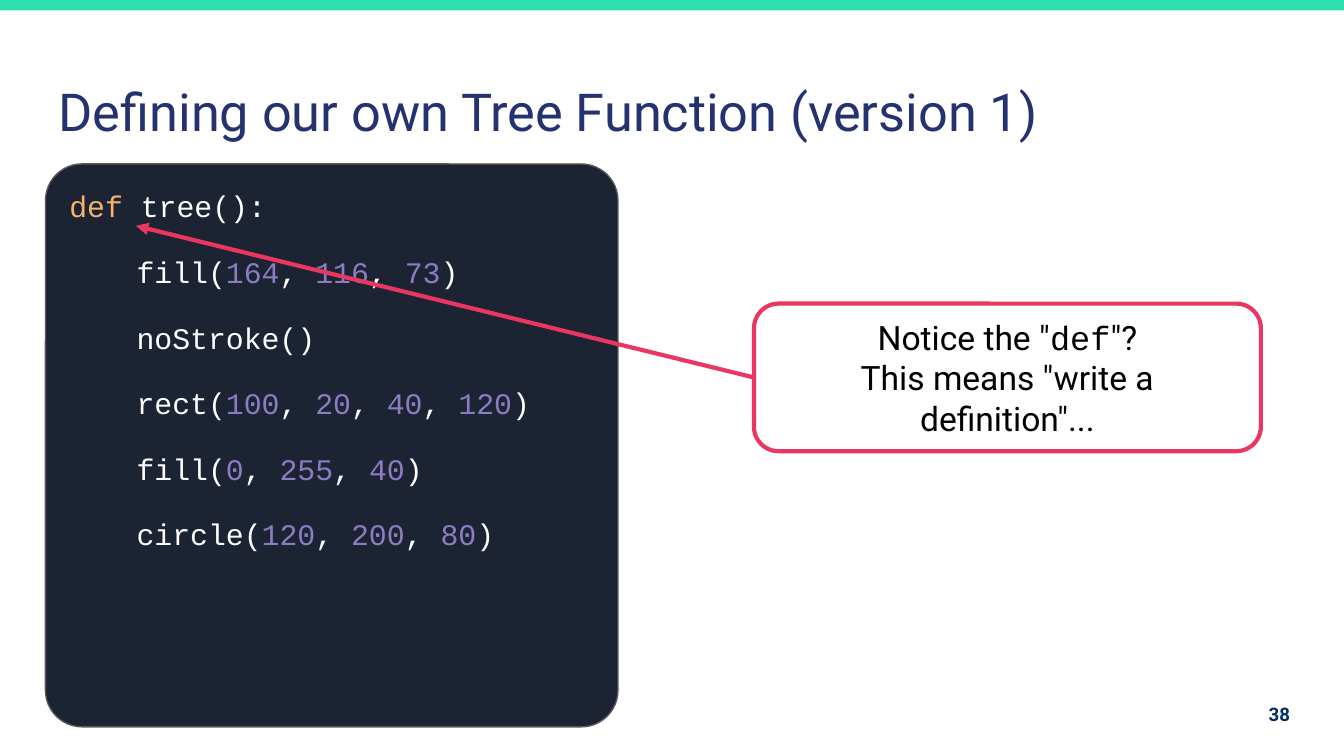
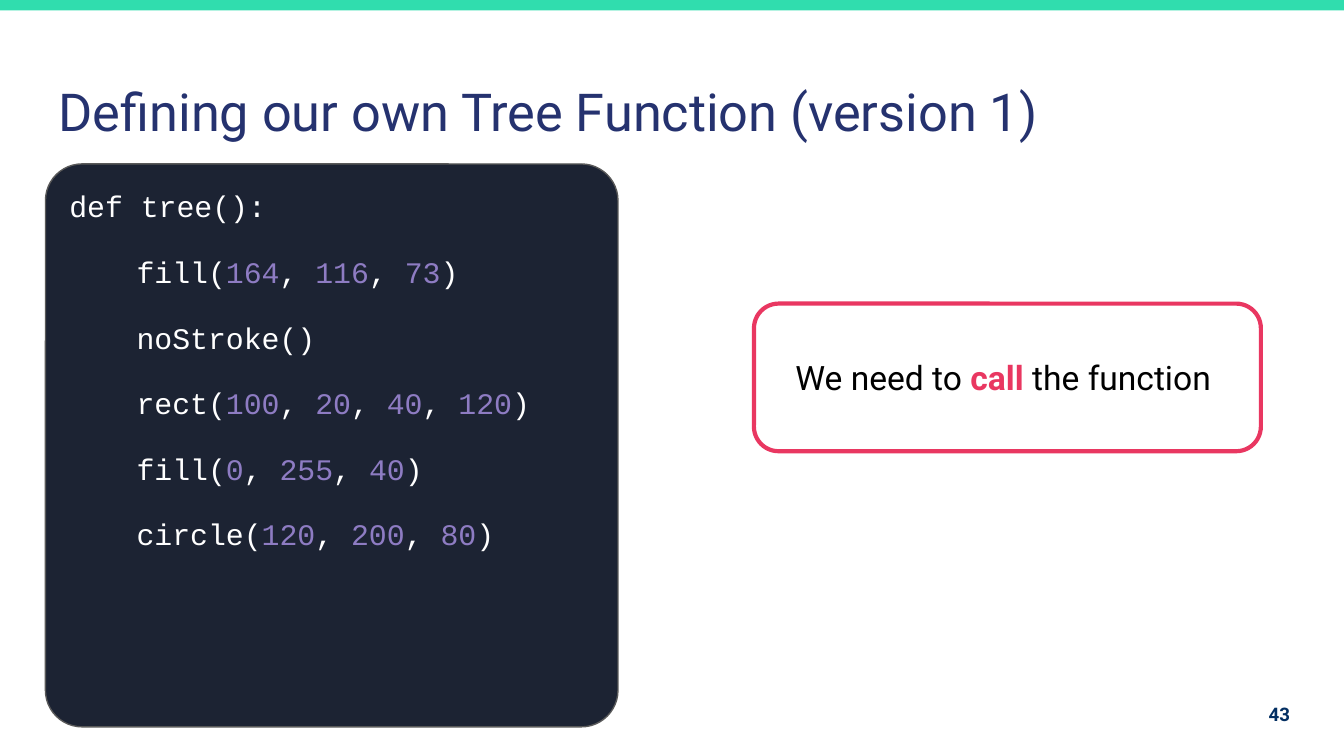
from dataclasses import dataclass
from itertools import groupby
from typing import Optional

from pptx import Presentation
from pptx.dml.color import RGBColor
from pptx.enum.shapes import MSO_CONNECTOR, MSO_SHAPE
from pptx.enum.text import MSO_ANCHOR, MSO_AUTO_SIZE, PP_ALIGN
from pptx.oxml.ns import qn
from pptx.util import Cm, Pt
from lxml.etree import SubElement

# Shared style
MINT, NAVY, BLUE = "30DDAE", "25326F", "032F62"
DARK, GREY, PINK = "1C2333", "595959", "E93761"
WHITE, BLACK = "FFFFFF", "000000"
GOLD, LILAC = "F6B26B", "8E7CC3"
SANS, MONO = "Roboto", "Courier New"
TITLE = "Defining our own Tree Function (version 1)"
BODY = [
    "fill(164, 116, 73)",
    "noStroke()",
    "rect(100, 20, 40, 120)",
    "fill(0, 255, 40)",
    "circle(120, 200, 80)",
]


@dataclass(frozen=True)
class Box:
    left: float
    top: float
    width: float
    height: float

    def cm(self) -> tuple:
        return Cm(self.left), Cm(self.top), Cm(self.width), Cm(self.height)


@dataclass(frozen=True)
class Run:
    text: str
    color: str = BLACK
    font: str = SANS
    size: float = 18
    bold: bool = False


@dataclass(frozen=True)
class Page:
    number: int
    head: list[Run]
    note: list[list[Run]]
    arrow: Optional[tuple[float, float]] = None


BAND = Box(-0.03, 0, 25.45, 0.2)
HEAD = Box(0.86, 1.24, 23.67, 1.6)
CODE = Box(0.86, 3.1, 10.82, 10.64)
NOTE = Box(14.25, 5.74, 9.58, 2.79)
FOOT = Box(23.11, 12.95, 1.52, 1.09)


def code(text: str, color: str = WHITE) -> Run:
    return Run(text, color, MONO, 16)


PAGES = [
    Page(
        38,
        [code("def ", GOLD), code("tree():")],
        [
            [Run('Notice the "'), Run("def", font=MONO), Run('"?')],
            [Run('This means "write a definition"...')],
        ],
        (2.57, 4.27),
    ),
    Page(
        43,
        [code("def tree():")],
        [[Run("We need to "), Run("call", PINK, bold=True), Run(" the function ")]],
    ),
]


def rgb(color: str) -> RGBColor:
    return RGBColor.from_string(color)


def split(line: str) -> list[Run]:
    """Colour the numbers of a code line."""
    return [
        code("".join(part), LILAC if digit else WHITE)
        for digit, part in groupby(line, str.isdigit)
    ]


def write(shape, lines: list[list[Run]], align=PP_ALIGN.LEFT, anchor=MSO_ANCHOR.TOP) -> list:
    frame = shape.text_frame
    frame.word_wrap = True
    frame.auto_size = MSO_AUTO_SIZE.NONE
    frame.vertical_anchor = anchor
    frame.margin_left = frame.margin_right = Cm(0.25)
    frame.margin_top = frame.margin_bottom = Cm(0.25)
    for i, runs in enumerate(lines):
        para = frame.add_paragraph() if i else frame.paragraphs[0]
        para.alignment = align
        for item in runs:
            run = para.add_run()
            run.text = item.text
            font = run.font
            font.name, font.size, font.bold = item.font, Pt(item.size), item.bold
            font.color.rgb = rgb(item.color)
    return list(frame.paragraphs)


def panel(slide, box: Box, kind, fill: str = "", line: str = "", width: float = 0.75,
          bend: float = 0):
    shape = slide.shapes.add_shape(kind, *box.cm())
    shape.shadow.inherit = False
    if fill:
        shape.fill.solid()
        shape.fill.fore_color.rgb = rgb(fill)
    else:
        shape.fill.background()
    if line:
        shape.line.color.rgb = rgb(line)
        shape.line.width = Pt(width)
    else:
        shape.line.fill.background()
    if bend:
        shape.adjustments[0] = bend
    return shape


def arrow(slide, end: tuple[float, float]) -> None:
    """Point from the middle of the note's left edge to end."""
    link = slide.shapes.add_connector(
        MSO_CONNECTOR.STRAIGHT, Cm(NOTE.left), Cm(NOTE.top + NOTE.height / 2),
        Cm(end[0]), Cm(end[1]))
    link.line.color.rgb = rgb(PINK)
    link.line.width = Pt(2.25)
    SubElement(link.line._get_or_add_ln(), qn("a:tailEnd"), type="triangle")
    SubElement(link._element.spPr, qn("a:effectLst"))


def build(deck, page: Page) -> None:
    slide = deck.slides.add_slide(deck.slide_layouts[5])

    # Band and title
    panel(slide, BAND, MSO_SHAPE.RECTANGLE, MINT)
    title = slide.shapes.title
    title.left, title.top, title.width, title.height = HEAD.cm()
    write(title, [[Run(TITLE, NAVY, size=28)]])

    # Code panel
    pane = panel(slide, CODE, MSO_SHAPE.ROUNDED_RECTANGLE, DARK, GREY, bend=0.065)
    paras = write(pane, [page.head] + [split(line) for line in BODY])
    for para in paras[1:]:
        para.space_before = Pt(16)
        para._p.get_or_add_pPr().set("marL", str(Cm(1.27)))
    paras[-1].space_after = Pt(16)

    # Page number
    foot = slide.shapes.add_textbox(*FOOT.cm())
    write(foot, [[Run(str(page.number), BLUE, size=10, bold=True)]],
          PP_ALIGN.RIGHT, MSO_ANCHOR.MIDDLE)

    # Note and its arrow
    note = panel(slide, NOTE, MSO_SHAPE.ROUNDED_RECTANGLE, "", PINK, 2.25, 0.167)
    write(note, page.note, PP_ALIGN.CENTER, MSO_ANCHOR.MIDDLE)
    if page.arrow:
        arrow(slide, page.arrow)


def main() -> None:
    deck = Presentation()
    deck.slide_width, deck.slide_height = Cm(25.4), Cm(14.29)
    for page in PAGES:
        build(deck, page)
    deck.save("out.pptx")


if __name__ == "__main__":
    main()
